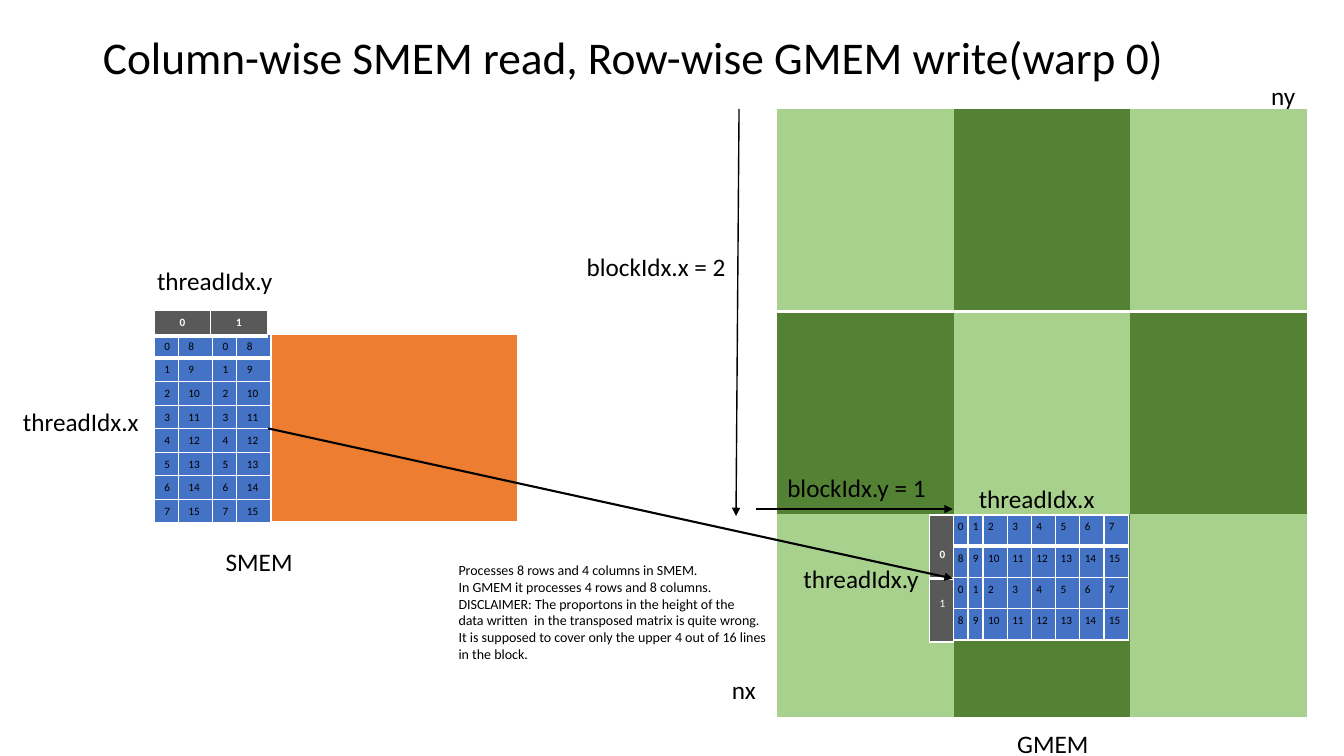
from lxml.etree import SubElement
from pptx import Presentation
from pptx.dml.color import RGBColor
from pptx.enum.shapes import MSO_CONNECTOR
from pptx.enum.text import MSO_ANCHOR, MSO_AUTO_SIZE, PP_ALIGN
from pptx.oxml.ns import qn
from pptx.util import Emu, Pt

BLACK = RGBColor(0x00, 0x00, 0x00)
WHITE = RGBColor(0xFF, 0xFF, 0xFF)
LIGHT = RGBColor(0xA9, 0xD1, 0x8E)
DARK = RGBColor(0x54, 0x82, 0x35)
ORANGE = RGBColor(0xED, 0x7D, 0x31)
BLUE = RGBColor(0x44, 0x72, 0xC4)
GREY = RGBColor(0x59, 0x59, 0x59)
PLAIN = "{2D5ABB26-0587-4C30-8999-92F81FD0307C}"  # table style without fill or grid


def px(n):
    """100 px to the inch."""
    return Emu(n * 9144)


class Board:
    font = "Calibri"

    def __init__(self, slide):
        self.slide = slide

    def run(self, para, text, size, color=BLACK, bold=False):
        run = para.add_run()
        run.text = text
        run.font.name = self.font
        run.font.size = Pt(size)
        run.font.color.rgb = color
        run.font.bold = bold

    def title(self, x, y, w, h, text):
        head = self.slide.shapes.title
        head.left, head.top, head.width, head.height = map(px, (x, y, w, h))
        frame = head.text_frame
        frame.auto_size = MSO_AUTO_SIZE.NONE
        frame.vertical_anchor = MSO_ANCHOR.MIDDLE
        para = frame.paragraphs[0]
        para.alignment = PP_ALIGN.LEFT
        para.line_spacing = 0.9
        self.run(para, text, 32.4)

    def text(self, x, y, w, h, lines, size=18, wrap=False):
        frame = self.slide.shapes.add_textbox(*map(px, (x, y, w, h))).text_frame
        frame.word_wrap = wrap
        frame.auto_size = MSO_AUTO_SIZE.SHAPE_TO_FIT_TEXT
        for i, line in enumerate(lines):
            para = frame.add_paragraph() if i else frame.paragraphs[0]
            self.run(para, line, size)

    def arrow(self, x1, y1, x2, y2, width=1):
        line = self.slide.shapes.add_connector(
            MSO_CONNECTOR.STRAIGHT, *map(px, (x1, y1, x2, y2)))
        line.line.color.rgb = BLACK
        line.line.width = Pt(width)
        props = line._element.spPr
        SubElement(props.find(qn("a:ln")), qn("a:tailEnd"), type="triangle")
        SubElement(props, qn("a:effectLst"))

    def edge(self, cell, side, width):
        props = cell._tc.get_or_add_tcPr()
        line = SubElement(props, qn("a:" + side), w=str(Pt(width)))
        if width:
            fill = SubElement(line, qn("a:solidFill"))
            SubElement(fill, qn("a:srgbClr"), val=str(WHITE))
        else:
            SubElement(line, qn("a:noFill"))

    def table(self, x, y, cols, rows, fills, thin=1, thick=3):
        """Cells with thin edges and a thick one below the first row."""
        frame = self.slide.shapes.add_table(
            len(rows), len(cols), *map(px, (x, y, sum(cols), sum(rows))))
        grid = frame.table
        grid.first_row = grid.horz_banding = False
        frame._element.find(".//" + qn("a:tableStyleId")).text = PLAIN
        for col, w in zip(grid.columns, cols):
            col.width = px(w)
        for row, h in zip(grid.rows, rows):
            row.height = px(h)
        for r in range(len(rows)):
            for c in range(len(cols)):
                cell = grid.cell(r, c)
                self.edge(cell, "lnL", thin)
                self.edge(cell, "lnR", thin)
                self.edge(cell, "lnT", thick if r == 1 else thin)
                self.edge(cell, "lnB", thick if r == 0 else thin)
                cell.fill.solid()
                cell.fill.fore_color.rgb = fills[(r + c) % len(fills)]
        return grid

    def label(self, cell, value, color=BLACK, bold=False):
        para = cell.text_frame.paragraphs[0]
        self.run(para, str(value), 8, color, bold)
        return para


def main():
    deck = Presentation()
    deck.slide_width, deck.slide_height = px(1333), px(750)
    board = Board(deck.slides.add_slide(deck.slide_layouts[5]))
    board.title(92, 12, 1150, 95, "Column-wise SMEM read, Row-wise GMEM write(warp 0)")

    # Global memory: checkered blocks and their indices
    board.table(771, 108, [175] * 3, [201] * 3, [LIGHT, DARK], thin=0, thick=2)
    board.arrow(733, 108, 730, 512)
    board.text(572, 244, 159, 40, ["blockIdx.x = 2"])
    board.arrow(750, 505, 945, 505)
    board.text(716, 664, 44, 40, ["nx"])
    board.text(1251, 75, 44, 40, ["ny"], wrap=True)
    board.text(771, 464, 159, 40, ["blockIdx.y = 1"])

    # Shared memory: block, labels, then the columns being read
    board.table(153, 332, [360], [187], [ORANGE])
    board.text(214, 537, 87, 40, ["SMEM"])
    board.text(999, 718, 92, 40, ["GMEM"])
    board.text(146, 258, 136, 40, ["threadIdx.y"])
    source = board.table(153, 332, [23, 34] * 2, [23] * 8, [BLUE])
    for r in range(8):
        for c in range(4):
            board.label(source.cell(r, c), r + 8 * (c % 2))
    heads = board.table(153, 308, [56] * 2, [25], [GREY])
    for c in range(2):
        board.label(heads.cell(0, c), c, WHITE, True).alignment = PP_ALIGN.CENTER
    board.text(13, 398, 136, 40, ["threadIdx.x"])

    # Rows being written to global memory
    target = board.table(945, 511, [15] * 2 + [24] * 6, [31] * 4, [BLUE])
    for r in range(4):
        for c in range(8):
            cell = target.cell(r, c)
            cell.margin_left = cell.margin_right = px(5)
            cell.margin_top = cell.margin_bottom = px(5)
            board.label(cell, c + 8 * (r % 2))
    board.text(961, 475, 136, 40, ["threadIdx.x"])
    sides = board.table(922, 511, [23], [63] * 2, [GREY])
    for r, top in enumerate((32, 18)):
        cell = sides.cell(r, 0)
        cell.margin_top = px(top)
        board.label(cell, r, WHITE, r == 0)
    board.text(787, 554, 136, 40, ["threadIdx.y"])

    # Transfer from shared to global memory
    board.arrow(266, 425, 945, 574, 1.5)
    board.text(445, 552, 327, 111, [
        "Processes 8 rows and 4 columns in SMEM.",
        "In GMEM it processes 4 rows and 8 columns.",
        "DISCLAIMER: The proportons in the height of the",
        "data written  in the transposed matrix is quite wrong.",
        "It is supposed to cover only the upper 4 out of 16 lines",
        "in the block.",
    ], size=10)

    deck.save("out.pptx")


if __name__ == "__main__":
    main()
